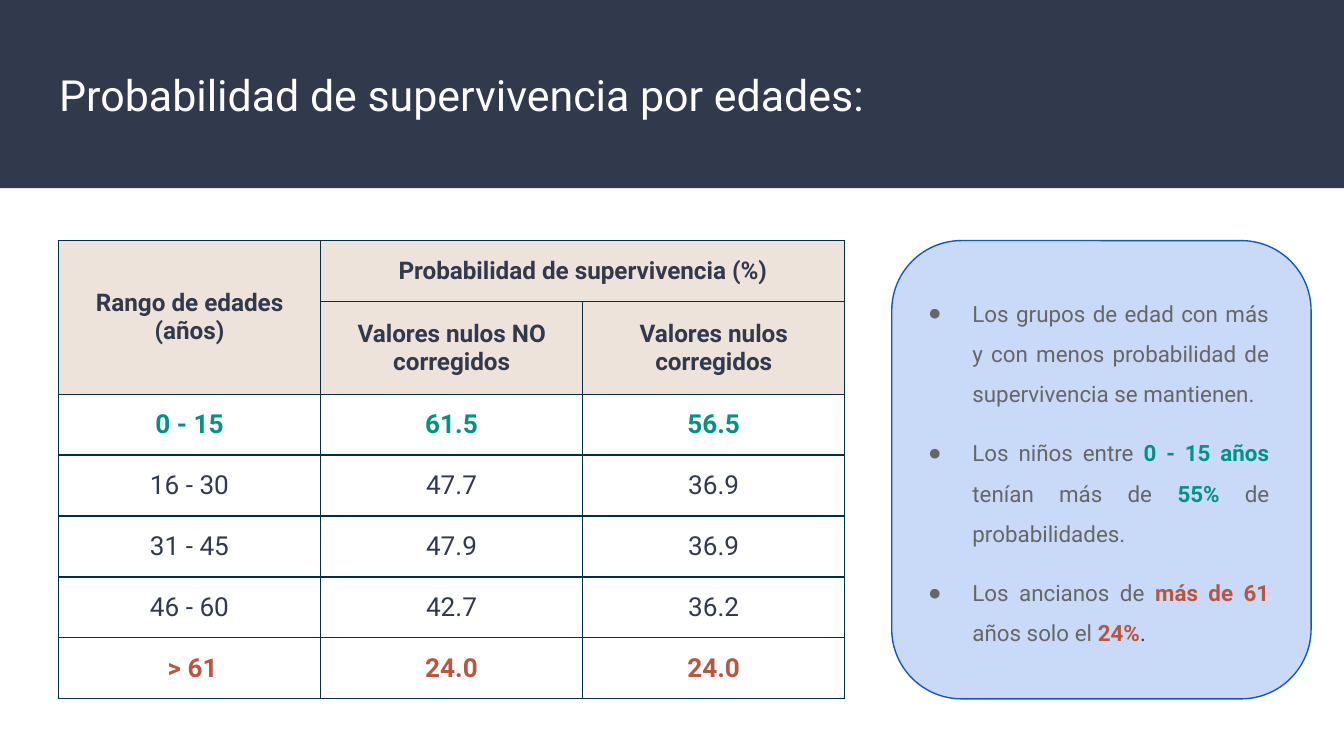
import pptx
import pptx.util
import pptx.dml.color
import pptx.enum.shapes
import pptx.enum.text
import pptx.oxml
import pptx.oxml.ns

Inches, Pt = pptx.util.Inches, pptx.util.Pt
ALIGN = pptx.enum.text.PP_ALIGN
ANCHOR = pptx.enum.text.MSO_ANCHOR
SHAPE = pptx.enum.shapes.MSO_SHAPE

THEME = {
    "font": "Roboto",
    "navy": "31394D", "white": "FFFFFF", "sand": "EDE3DA", "sky": "C9DAF8",
    "blue": "1155CC", "grid": "002F4A", "gray": "666666",
    "green": "009384", "red": "B85741",
    "title": 23, "head": 13, "cell": 14, "list": 12, "line": 0.75,
}

TITLE = "Probabilidad de supervivencia por edades:"
HEADS = [
    ["Rango de edades\n(años)", "Probabilidad de supervivencia (%)", ""],
    ["", "Valores nulos NO corregidos", "Valores nulos corregidos"],
]
ROWS = [
    ["0 - 15", "61.5", "56.5"],
    ["16 - 30", "47.7", "36.9"],
    ["31 - 45", "47.9", "36.9"],
    ["46 - 60", "42.7", "36.2"],
    [" > 61", "24.0", "24.0"],
]
MARKS = {0: "green", len(ROWS) - 1: "red"}
POINTS = [
    [("Los grupos de edad con más y con menos probabilidad de "
      "supervivencia se mantienen.", "gray")],
    [("Los niños entre", "gray"), (" 0 - 15 años", "green"),
     (" tenían más de ", "gray"), ("55%", "green"),
     (" de probabilidades.", "gray")],
    [("Los ancianos de ", "gray"), ("más de 61", "red"),
     (" años solo el ", "gray"), ("24%", "red"), (".", "navy")],
]
BOLD = ("green", "red")

WIDE = 10
HIGH = WIDE * 9 / 16
PART = WIDE / 100
BAND = 1.4
TOP, DEEP = 1.79, 3.41
TALL = 0.69
SHORT = (DEEP - TALL) / (len(HEADS) + len(ROWS) - 1)
COL = 19.5 * PART
PAD = Inches(0.1)
INSET = {f"margin_{side}": PAD for side in ("left", "right", "top", "bottom")}


def color(name):
    return pptx.dml.color.RGBColor.from_string(THEME[name])


def apply(item, values):
    for key, value in values.items():
        setattr(item, key, value)


def style(font, size, tint, bold=False):
    apply(font, {"name": THEME["font"], "size": Pt(THEME[size]), "bold": bold})
    font.color.rgb = color(tint)


def place(shape, left, top, width, height, anchor):
    apply(shape, {"left": Inches(left), "top": Inches(top),
                  "width": Inches(width), "height": Inches(height)})
    apply(shape.text_frame, {
        **INSET, "word_wrap": True, "vertical_anchor": anchor,
        "auto_size": pptx.enum.text.MSO_AUTO_SIZE.NONE})


def block(slide, kind, box, fill, order):
    shape = slide.shapes.add_shape(kind, *map(Inches, box))
    shape.shadow.inherit = False
    shape.fill.solid()
    shape.fill.fore_color.rgb = color(fill)
    slide.shapes._spTree.insert(2 + order, shape._element)
    return shape


def bullet(para):
    props = para._p.get_or_add_pPr()
    for key, value in {"marL": 0.5, "indent": -0.33}.items():
        props.set(key, str(Inches(value)))
    space = pptx.oxml.ns.nsdecls("a")
    for xml in (f'<a:buClr {space}><a:srgbClr val="{THEME["gray"]}"/></a:buClr>',
                f'<a:buChar {space} char="●"/>'):
        props.append(pptx.oxml.parse_xml(xml))


def border(cell):
    props = cell._tc.get_or_add_tcPr()
    for side in ("lnL", "lnR", "lnT", "lnB"):
        props.append(pptx.oxml.parse_xml(
            f'<a:{side} {pptx.oxml.ns.nsdecls("a")} w="{Pt(THEME["line"])}">'
            f'<a:solidFill><a:srgbClr val="{THEME["grid"]}"/></a:solidFill>'
            f'</a:{side}>'))


def add_title(slide):
    title = slide.shapes.title
    place(title, 3.4 * PART, 0.36, 93.2 * PART, 0.68, ANCHOR.MIDDLE)
    title.text_frame.text = TITLE
    para = title.text_frame.paragraphs[0]
    para.alignment = ALIGN.LEFT
    style(para.runs[0].font, "title", "white")


def add_list(slide):
    body = slide.placeholders[1]
    place(body, 66.35 * PART, 2.03, 29.1 * PART, 3.03, ANCHOR.TOP)
    text = body.text_frame
    for i, point in enumerate(POINTS):
        para = text.add_paragraph() if i else text.paragraphs[0]
        bullet(para)
        apply(para, {"alignment": ALIGN.JUSTIFY, "line_spacing": 1.5,
                     "space_before": Pt(10 if i else 0), "space_after": Pt(0)})
        for words, tint in point:
            run = para.add_run()
            run.text = words
            style(run.font, "list", tint, tint in BOLD)


def add_grid(slide):
    count = len(HEADS) + len(ROWS)
    grid = slide.shapes.add_table(
        count, 3, Inches(4.35 * PART), Inches(TOP),
        Inches(3 * COL), Inches(DEEP)).table
    apply(grid, {"first_row": False, "horz_banding": False})
    for column in grid.columns:
        column.width = Inches(COL)
    for r, words in enumerate(HEADS + ROWS):
        head = r < len(HEADS)
        mark = MARKS.get(r - len(HEADS))
        grid.rows[r].height = Inches(TALL if r == 1 else SHORT)
        for c, word in enumerate(words):
            cell = grid.cell(r, c)
            apply(cell, {**INSET, "vertical_anchor": ANCHOR.MIDDLE,
                         "text": word})
            border(cell)
            cell.fill.solid()
            cell.fill.fore_color.rgb = color("sand" if head else "white")
            for para in cell.text_frame.paragraphs:
                para.alignment = ALIGN.CENTER
                for run in para.runs:
                    style(run.font, "head" if head else "cell",
                          mark or "navy", head or bool(mark))
    grid.cell(0, 0).merge(grid.cell(1, 0))
    grid.cell(0, 1).merge(grid.cell(0, 2))


def main():
    deck = pptx.Presentation()
    apply(deck, {"slide_width": Inches(WIDE), "slide_height": Inches(HIGH)})
    slide = deck.slides.add_slide(deck.slide_layouts[1])
    band = block(slide, SHAPE.RECTANGLE, (0, 0, WIDE, BAND), "navy", 0)
    band.line.fill.background()
    panel = block(slide, SHAPE.ROUNDED_RECTANGLE,
                  (66.35 * PART, TOP, 31.2 * PART, DEEP), "sky", 1)
    panel.line.color.rgb = color("blue")
    panel.line.width = Pt(THEME["line"])
    add_title(slide)
    add_list(slide)
    add_grid(slide)
    deck.save("out.pptx")


if __name__ == "__main__":
    main()
